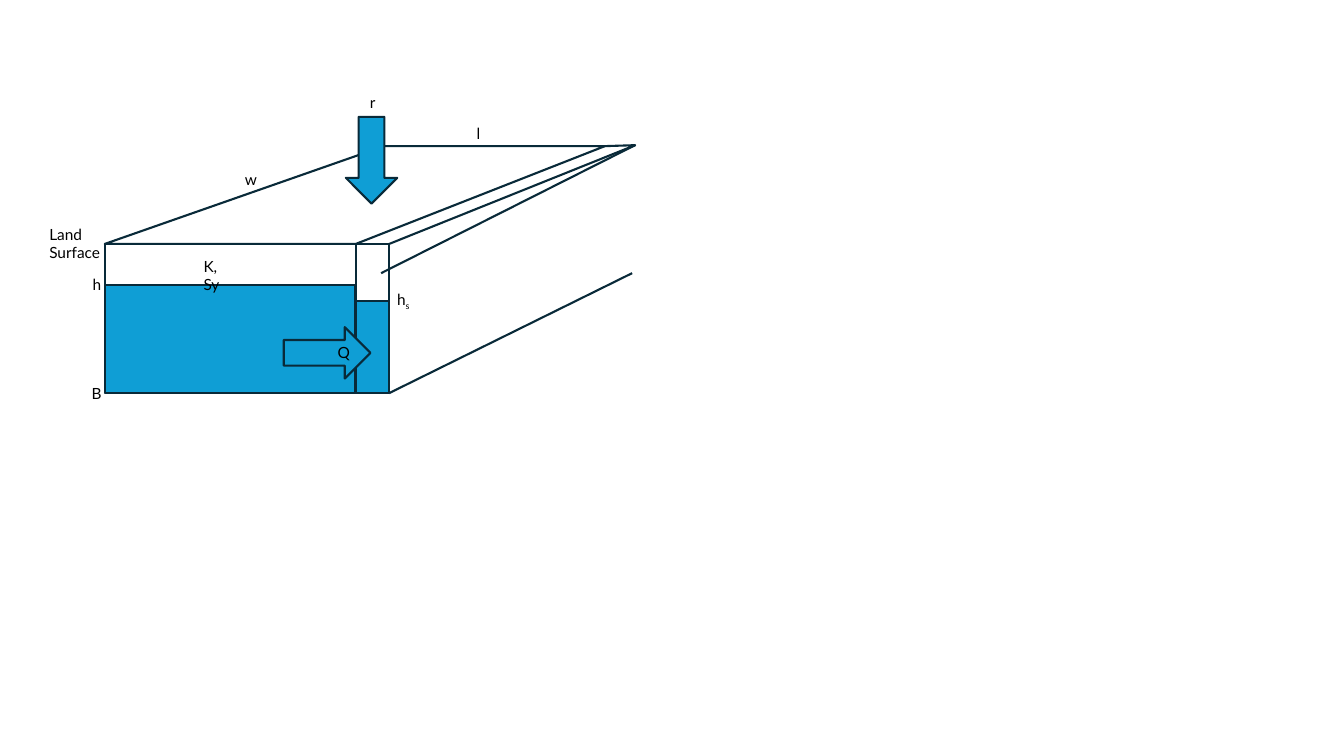
from dataclasses import dataclass

from lxml import etree
from pptx import Presentation
from pptx.dml.color import RGBColor
from pptx.enum.shapes import MSO_CONNECTOR, MSO_SHAPE
from pptx.oxml.ns import qn
from pptx.util import Inches, Pt

RECTANGLE = MSO_SHAPE.RECTANGLE
DOWN_ARROW = MSO_SHAPE.DOWN_ARROW
STRAIGHT = MSO_CONNECTOR.STRAIGHT


@dataclass(frozen=True)
class Theme:
    """Colours, font and sizes of the diagram."""
    outline: RGBColor = RGBColor(0x09, 0x2A, 0x39)
    water: RGBColor = RGBColor(0x0F, 0x9E, 0xD5)
    ink: RGBColor = RGBColor(0, 0, 0)
    font: str = "Lato"
    label_size: Pt = Pt(11)
    line_width: Pt = Pt(1.5)


THEME = Theme()


def style(shape, fill=None):
    """Give a shape the diagram outline and an optional fill."""
    shape.shadow.inherit = False
    shape.line.color.rgb = THEME.outline
    shape.line.width = THEME.line_width
    if fill is None:
        shape.fill.background()
    else:
        shape.fill.solid()
        shape.fill.fore_color.rgb = fill


def add_preset(slide, preset, left, top, width, height, fill=None, rotation=0):
    """Add a styled preset shape."""
    shape = slide.shapes.add_shape(
        preset, Inches(left), Inches(top), Inches(width), Inches(height))
    shape.rotation = rotation
    style(shape, fill)


def add_outline(slide, points, close=False):
    """Add an unfilled freeform through the points."""
    start, *others = [(Inches(x), Inches(y)) for x, y in points]
    builder = slide.shapes.build_freeform(*start)
    builder.add_line_segments(others, close=close)
    style(builder.convert_to_shape())


def add_edge(slide, start, end):
    """Add a straight edge between two points."""
    edge = slide.shapes.add_connector(
        STRAIGHT, *(Inches(value) for value in (*start, *end)))
    edge.line.color.rgb = THEME.outline
    edge.line.width = THEME.line_width
    etree.SubElement(edge.element.spPr, qn("a:effectLst"))


def add_label(slide, lines, left, top, width, height=0.29, subscript="", wrap=False):
    """Add a left-aligned label with an optional subscript."""
    label = slide.shapes.add_textbox(
        Inches(left), Inches(top), Inches(width), Inches(height))
    frame = label.text_frame
    frame.word_wrap = wrap
    for index, line in enumerate(lines):
        paragraph = frame.add_paragraph() if index else frame.paragraphs[0]
        for text, baseline in ((line, None), (subscript, "-25000")):
            if not text:
                continue
            run = paragraph.add_run()
            run.text = text
            run.font.name = THEME.font
            run.font.size = THEME.label_size
            run.font.color.rgb = THEME.ink
            if baseline:
                run.font._element.set("baseline", baseline)


def draw_aquifer(slide, left, top, width, height):
    """Draw the aquifer block and the stream beside it."""
    stream_width = 0.33
    bank = left + width
    right = bank + stream_width
    bottom = top + height
    back = top - 0.97
    far_corner = (right + 2.44, back - 0.01)
    water_table = top + 0.41
    stream_level = top + 0.57

    add_preset(slide, RECTANGLE, left, top, width, height)
    add_outline(slide, [(left, top), (left + 2.77, back),
                        (left + 4.96, back), (bank, top)], close=True)
    add_preset(slide, RECTANGLE, bank, top, stream_width, height)
    add_outline(slide, [(right, top), far_corner, (right + 2.13, back)])
    add_edge(slide, (right, bottom), (right + 2.41, bottom - 1.19))
    add_edge(slide, far_corner, (right - 0.08, bottom - 1.19))
    add_preset(slide, RECTANGLE, left, water_table,
               width - 0.01, bottom - water_table, THEME.water)
    add_preset(slide, RECTANGLE, bank, stream_level,
               stream_width, bottom - stream_level, THEME.water)


def draw_flows(slide, left, top):
    """Draw recharge and discharge arrows, offset from the block corner."""
    for x, y, rotation in ((2.39, -1.26, 0), (1.95, 0.65, 270)):
        add_preset(slide, DOWN_ARROW, left + x, top + y, 0.51, 0.86,
                   THEME.water, rotation)


def draw_labels(slide, left, top):
    """Place the labels, offset from the block corner."""
    for text, x, y, width in (
            ("w", 1.29, -0.78, 0.31),
            ("l", 3.59, -1.24, 0.24),
            ("h", -0.22, 0.26, 0.29),
            ("B", -0.23, 1.34, 0.29),
            ("r", 2.53, -1.55, 0.25),
            ("Q", 2.21, 0.93, 0.31)):
        add_label(slide, [text], left + x, top + y, width)
    add_label(slide, ["Land", "Surface"], left - 0.65, top - 0.24, 0.72, 0.47)
    add_label(slide, ["h"], left + 2.8, top + 0.41, 0.34, subscript="s")
    add_label(slide, ["K, Sy"], left + 0.88, top + 0.08, 0.52, wrap=True)


def main():
    """Build and save the slide."""
    deck = Presentation()
    deck.slide_width, deck.slide_height = Inches(13.33), Inches(7.5)
    slide = deck.slides.add_slide(deck.slide_layouts[6])
    left, top = 1.04, 2.42
    draw_aquifer(slide, left, top, 2.49, 1.48)
    draw_flows(slide, left, top)
    draw_labels(slide, left, top)
    deck.save("out.pptx")


if __name__ == "__main__":
    main()
